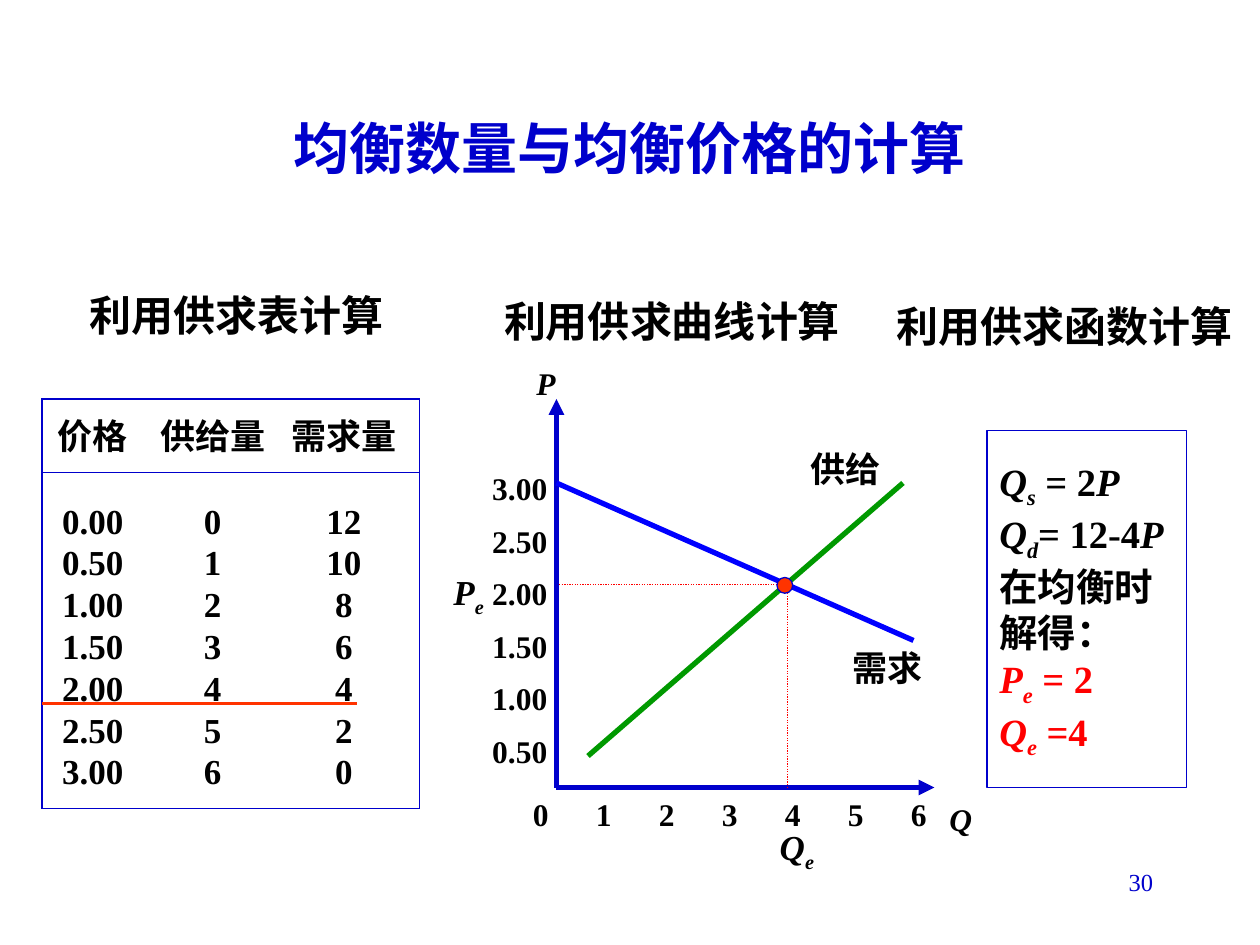
from lxml import etree
from pptx import Presentation
from pptx.dml.color import RGBColor
from pptx.enum.dml import MSO_LINE
from pptx.enum.shapes import MSO_CONNECTOR, MSO_SHAPE
from pptx.enum.text import MSO_ANCHOR as ANCHOR, PP_ALIGN as ALIGN
from pptx.oxml.ns import qn
from pptx.util import Pt

BLUE, BLACK, RED, ORANGE = "0000CC", "000000", "FF0000", "FF3300"
ITALIC, SUB = {"italic": True}, {"italic": True, "sub": True}

TITLE = "均衡数量与均衡价格的计算"
HEADINGS = [
    ("利用供求表计算", 45, 162, 180, 36),
    ("利用供求曲线计算", 276, 162, 216, 42),
    ("利用供求函数计算", 506, 168, 205, 36),
]
SCHEDULE = [
    ("价格", "供给量", "需求量"),
    ("0.00", "0", "12"),
    ("0.50", "1", "10"),
    ("1.00", "2", "8"),
    ("1.50", "3", "6"),
    ("2.00", "4", "4"),
    ("2.50", "5", "2"),
    ("3.00", "6", "0"),
]
COL_WIDTHS = [58, 79, 79]
ROW_HEIGHTS = [42, 40, 24, 24, 24, 24, 24, 32]
PRICES = ["3.00", "2.50", "2.00", "1.50", "1.00", "0.50"]
QUANTITIES = ["0", "1", "2", "3", "4", "5", "6"]
EQUATIONS = [
    (BLACK, [("Q", ITALIC), ("s", SUB), (" = 2", {}), ("P", ITALIC)]),
    (BLACK, [("Q", ITALIC), ("d", SUB), ("= 12-4", {}), ("P", ITALIC)]),
    (BLACK, [("在均衡时", {})]),
    (BLACK, [("解得：", {})]),
    (RED, [("P", ITALIC), ("e", SUB), (" = 2", {})]),
    (RED, [("Q", ITALIC), ("e", SUB), (" =4", {})]),
]
CURVE_LABELS = [
    ([("供给", {})], 456, 252, 60, 32),
    ([("需求", {})], 480, 366, 60, 32),
    ([("Q", ITALIC), ("e", SUB)], 438.5, 468, 36, 34.5),
    ([("P", ITALIC), ("e", SUB)], 252, 322.5, 36, 34.5),
]
ORIGIN = (318, 450)
LINES = [
    ((336, 432), (516, 276), "009900", 3, {}),
    ((318, 334), (450, 334), RED, 0.75, {"dotted": True}),
    (ORIGIN, (318, 228), BLUE, 3, {"arrow": True}),
    (ORIGIN, (534, 450), BLUE, 3, {"arrow": True}),
    ((450, 336), (450, 450), RED, 0.75, {"dotted": True}),
    ((522, 366), (318, 276), "0000FF", 3, {}),
    ((24, 402), (204, 402), ORANGE, 2.25, {}),
]


def rgb(value):
    return RGBColor.from_string(value)


def write(p, runs, size, color=BLACK, bold=True, align=ALIGN.LEFT):
    p.alignment = align
    for text, extra in runs:
        r = p.add_run()
        r.text = text
        fmt = {"name": "Times New Roman", "size": Pt(size), "bold": bold,
               "italic": extra.get("italic", False)}
        for key, value in fmt.items():
            setattr(r.font, key, value)
        r.font.color.rgb = rgb(color)
        if extra.get("sub"):
            r.font._element.set("baseline", "-25000")


def label(s, runs, x, y, w, h, size, wrap=False, anchor=ANCHOR.MIDDLE, **fmt):
    tf = s.shapes.add_textbox(Pt(x), Pt(y), Pt(w), Pt(h)).text_frame
    tf.word_wrap, tf.vertical_anchor = wrap, anchor
    if not wrap:
        tf.margin_left = tf.margin_right = 0
    write(tf.paragraphs[0], runs, size, **fmt)


def shape(s, kind, x, y, w, h, fill=None):
    sp = s.shapes.add_shape(kind, Pt(x), Pt(y), Pt(w), Pt(h))
    sp.shadow.inherit = False
    if fill:
        sp.fill.solid()
        sp.fill.fore_color.rgb = rgb(fill)
    else:
        sp.fill.background()
    sp.line.color.rgb = rgb(BLUE)
    sp.line.width = Pt(0.75)
    return sp


def line(s, start, end, color, width, style):
    x1, y1, x2, y2 = (Pt(v) for v in start + end)
    cn = s.shapes.add_connector(MSO_CONNECTOR.STRAIGHT, x1, y1, x2, y2)
    cn.line.color.rgb = rgb(color)
    cn.line.width = Pt(width)
    if style.get("dotted"):
        cn.line.dash_style = MSO_LINE.ROUND_DOT
    if style.get("arrow"):
        etree.SubElement(cn.line._get_or_add_ln(), qn("a:tailEnd"), type="triangle")
    etree.SubElement(cn._element.spPr, qn("a:effectLst"))


def border(cell, edges):
    tc_pr = cell._tc.get_or_add_tcPr()
    for i, (side, shown) in enumerate(edges.items()):
        ln = etree.Element(qn("a:ln" + side), w=str(Pt(0.75)))
        if shown:
            fill = etree.SubElement(ln, qn("a:solidFill"))
            etree.SubElement(fill, qn("a:srgbClr"), val=BLUE)
        else:
            etree.SubElement(ln, qn("a:noFill"))
        tc_pr.insert(i, ln)


def schedule(s):
    rows, cols = len(SCHEDULE), len(COL_WIDTHS)
    tbl = s.shapes.add_table(rows, cols, Pt(24), Pt(228), Pt(sum(COL_WIDTHS)),
                             Pt(sum(ROW_HEIGHTS))).table
    tbl.first_row = tbl.horz_banding = False
    for col, width in zip(tbl.columns, COL_WIDTHS):
        col.width = Pt(width)
    anchors = {1: ANCHOR.BOTTOM, rows - 1: ANCHOR.TOP}
    for i, values in enumerate(SCHEDULE):
        tbl.rows[i].height = Pt(ROW_HEIGHTS[i])
        for j, value in enumerate(values):
            cell = tbl.cell(i, j)
            cell.fill.background()
            cell.margin_left = cell.margin_top = 0
            cell.margin_bottom = Pt(0 if i else 2)
            cell.margin_right = Pt(8 if j == cols - 1 else 0)
            cell.vertical_anchor = anchors.get(i, ANCHOR.MIDDLE)
            write(cell.text_frame.paragraphs[0], [(value, {})], 20, align=ALIGN.CENTER)
            border(cell, {"L": j == 0, "R": j == cols - 1, "T": i < 2,
                          "B": i in (0, rows - 1)})


def equations(s):
    sp = shape(s, MSO_SHAPE.RECTANGLE, 564, 246, 114, 204)
    tf = sp.text_frame
    tf.word_wrap, tf.vertical_anchor = True, ANCHOR.MIDDLE
    for i, (color, runs) in enumerate(EQUATIONS):
        p = tf.add_paragraph() if i else tf.paragraphs[0]
        write(p, runs, 22, color=color)


def main():
    prs = Presentation()
    prs.slide_width, prs.slide_height = Pt(720), Pt(540)
    s = prs.slides.add_slide(prs.slide_layouts[6])
    center = {"align": ALIGN.CENTER}
    label(s, [(TITLE, {})], 54, 60, 612, 47, 32, wrap=True,
          anchor=ANCHOR.BOTTOM, color=BLUE, **center)
    for text, *box in HEADINGS:
        label(s, [(text, {})], *box, 24, **center)
    schedule(s)
    equations(s)
    for spec in LINES:
        line(s, *spec)
    label(s, [("P", ITALIC)], 294, 210, 36, 18, 18, **center)
    label(s, [("Q", ITALIC)], 534, 456, 30, 24, 18, **center)
    for i, price in enumerate(PRICES):
        label(s, [(price, {})], 276, 270 + 30 * i, 42, 18, 18, **center)
    for i, quantity in enumerate(QUANTITIES):
        label(s, [(quantity, {})], 294 + 36 * i, 456, 30, 18, 18, **center)
    shape(s, MSO_SHAPE.OVAL, 444, 330, 9, 9, ORANGE)
    for runs, *box in CURVE_LABELS:
        label(s, runs, *box, 20, wrap=True, anchor=ANCHOR.TOP)
    label(s, [("30", {})], 516, 492, 150, 36, 14, wrap=True,
          anchor=ANCHOR.TOP, color=BLUE, bold=False, align=ALIGN.RIGHT)
    prs.save("out.pptx")


if __name__ == "__main__":
    main()
